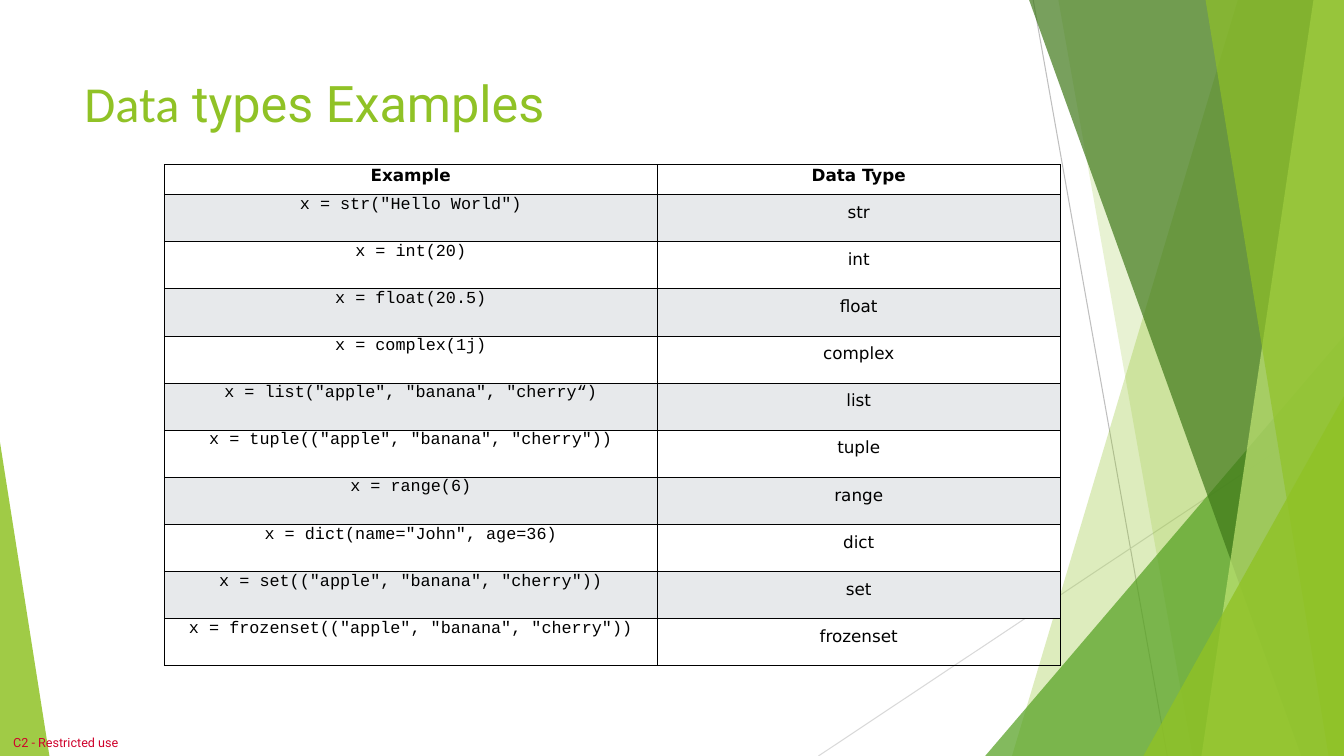
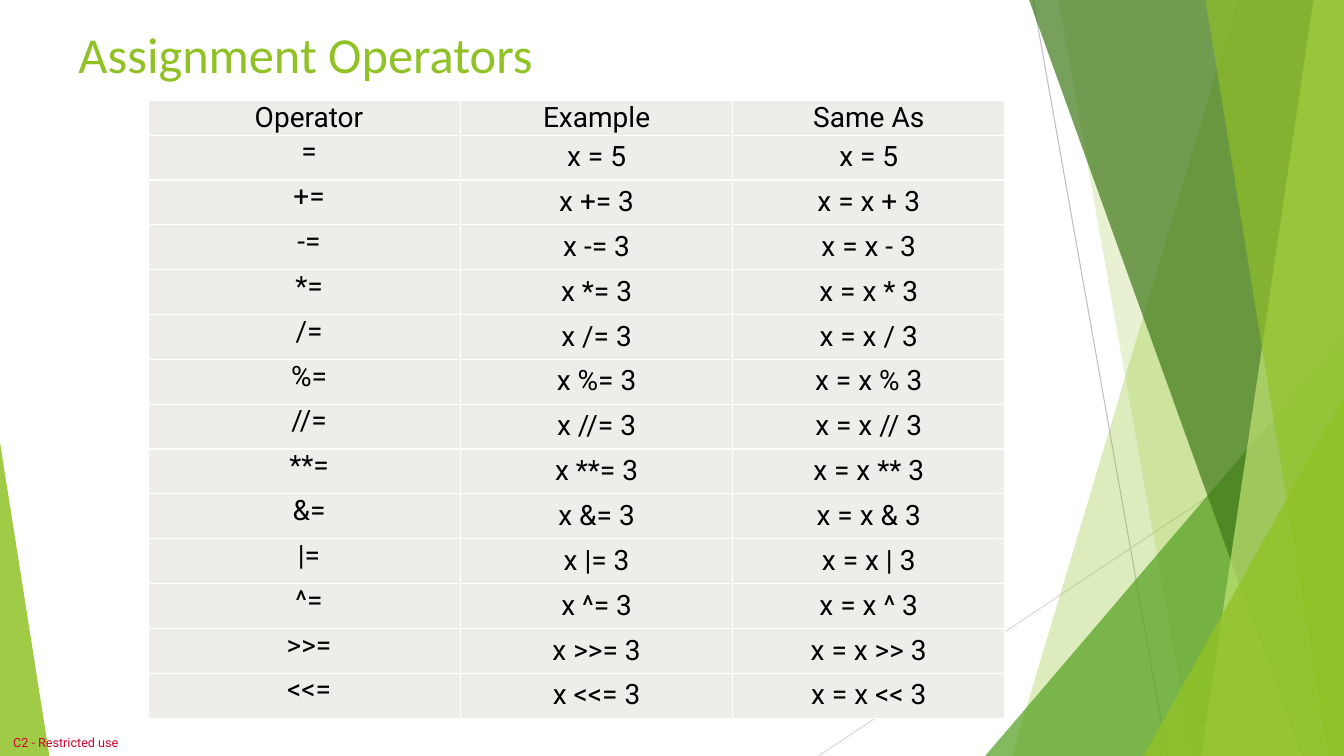
from lxml import etree
from pptx import Presentation
from pptx.dml.color import RGBColor
from pptx.enum import shapes, text
from pptx.oxml.ns import qn
from pptx.util import Pt

GREEN, BLACK, WHITE = "90C226", "000000", "FFFFFF"
WIDTH, HEIGHT = 960, 540


def color(hex_code):
    return RGBColor.from_string(hex_code)


def style(paragraph, size, font, hex_code, bold=False):
    paragraph.font.size = Pt(size)
    paragraph.font.name = font
    paragraph.font.bold = bold
    paragraph.font.color.rgb = color(hex_code)


rays = [
    ((738, 0, 833.8, HEIGHT), "BFBFBF"),
    ((WIDTH, 290.2, 584.6, HEIGHT), "D9D9D9"),
]
facets = [
    ("band", (884.2, 722.9), GREEN, 30),
    ("band", (756, 851.8), GREEN, 20),
    ("peak", (703.7, 240, 256.3, 300, 1), "54A021", 72),
    ("band", (735.1, 929.5), "3F7819", 70),
    ("band", (938.2, 858.2), "C0E474", 70),
    ("band", (861.1, 949), GREEN, 65),
    ("peak", (816.7, 283, 143.3, 257, 1), GREEN, 80),
    ("peak", (0, 316, 35.3, 224, 0), GREEN, 85),
]

fruit = '"apple", "banana", "cherry'
calls = [
    ("str", '"Hello World"'),
    ("int", "20"),
    ("float", "20.5"),
    ("complex", "1j"),
    ("list", f"{fruit}“"),
    ("tuple", f'({fruit}")'),
    ("range", "6"),
    ("dict", 'name="John", age=36'),
    ("set", f'({fruit}")'),
    ("frozenset", f'({fruit}")'),
]
operators = ["+", "-", "*", "/", "%", "//", "**", "&", "|", "^", ">>", "<<"]

pages = [
    {
        "title": [("Data", "Calibri"), (" types Examples", "Roboto")],
        "title_box": (53.3, 48.2, 676.8, 103.7),
        "rows": [("Example", "Data Type")]
        + [(f"x = {name}({value})", name) for name, value in calls],
        "corner": (117.4, 117.7),
        "widths": [352, 288],
        "heights": (21.2, 33.7),
        "fonts": ["Courier New", "DejaVu Sans"],
        "header_font": "DejaVu Sans",
        "size": 12,
        "header_bold": True,
        "padding": 5.8,
        "first_inset": 0.7,
        "fills": [None, "E7E9EB"],
        "rule": (BLACK, 1, 0.5),
    },
    {
        "title": [("Assignment Operators", "Calibri")],
        "title_box": (49, 13, 844.6, 79.9),
        "rows": [("Operator", "Example", "Same As"), ("=", "x = 5", "x = 5")]
        + [(f"{op}=", f"x {op}= 3", f"x = x {op} 3") for op in operators],
        "corner": (106, 72),
        "widths": [223, 194.4, 194.4],
        "heights": (24.1, 31.5),
        "fonts": ["Roboto"] * 3,
        "header_font": "Roboto",
        "size": 20,
        "header_bold": False,
        "padding": 4,
        "first_inset": 7.2,
        "fills": ["EEEDE9", "EEEDE9"],
        "rule": (WHITE, 1, 1),
    },
]

prs = Presentation()
prs.slide_width, prs.slide_height = Pt(WIDTH), Pt(HEIGHT)

for page in pages:
    slide = prs.slides.add_slide(prs.slide_layouts[6])

    for ends, hex_code in rays:
        ray = slide.shapes.add_connector(
            shapes.MSO_CONNECTOR.STRAIGHT, *[Pt(v) for v in ends]
        )
        ray.line.color.rgb = color(hex_code)
        ray.line.width = Pt(0.75)
        etree.SubElement(ray.element.spPr, qn("a:effectLst"))

    for kind, outline, hex_code, opacity in facets:
        if kind == "band":
            top_x, bottom_x = outline
            builder = slide.shapes.build_freeform(Pt(top_x), 0)
            corners = [(WIDTH, 0), (WIDTH, HEIGHT), (bottom_x, HEIGHT)]
            builder.add_line_segments([(Pt(x), Pt(y)) for x, y in corners])
            facet = builder.convert_to_shape()
        else:
            *box, apex = outline
            facet = slide.shapes.add_shape(
                shapes.MSO_SHAPE.ISOSCELES_TRIANGLE, *[Pt(v) for v in box]
            )
            facet.adjustments[0] = apex
        facet.shadow.inherit = False
        facet.line.fill.background()
        facet.fill.solid()
        facet.fill.fore_color.rgb = color(hex_code)
        tint = facet.element.spPr.find(qn("a:solidFill"))[0]
        etree.SubElement(tint, qn("a:alpha"), val=str(opacity * 1000))

    footer = slide.shapes.add_textbox(0, Pt(520.6), Pt(96.5), Pt(19.4)).text_frame
    footer.word_wrap = True
    footer.vertical_anchor = text.MSO_ANCHOR.MIDDLE
    footer.margin_left = Pt(9.4)
    footer.margin_top = footer.margin_right = footer.margin_bottom = 0
    footer.text = "C2 - Restricted use"
    style(footer.paragraphs[0], 9, "Roboto", "CF022B")

    title = slide.shapes.add_textbox(*[Pt(v) for v in page["title_box"]]).text_frame
    title.word_wrap = True
    style(title.paragraphs[0], 36, "Calibri", GREEN)
    for words, font in page["title"]:
        run = title.paragraphs[0].add_run()
        run.text = words
        run.font.name = font

    rows, widths = page["rows"], page["widths"]
    header_height, row_height = page["heights"]
    last_row, last_col = len(rows) - 1, len(widths) - 1
    table = slide.shapes.add_table(
        len(rows), len(widths), *[Pt(v) for v in page["corner"]],
        Pt(sum(widths)), Pt(header_height + last_row * row_height),
    ).table
    table.first_row = table.horz_banding = False
    for column, width in zip(table.columns, widths):
        column.width = Pt(width)

    rule_color, outer, inner = page["rule"]
    for r, values in enumerate(rows):
        table.rows[r].height = Pt(row_height if r else header_height)
        for c, value in enumerate(values):
            cell = table.cell(r, c)
            padded = r > 0 and c > 0
            cell.margin_left = Pt(0.7 if c else page["first_inset"])
            cell.margin_right = Pt(0.7)
            cell.margin_top = Pt(page["padding"] if padded else 0.5)
            cell.margin_bottom = Pt(page["padding"] if padded else 0)
            cell.text = value
            paragraph = cell.text_frame.paragraphs[0]
            paragraph.alignment = text.PP_ALIGN.CENTER
            font = page["fonts"][c] if r else page["header_font"]
            style(paragraph, page["size"], font, BLACK, r == 0 and page["header_bold"])

            edges = {"L": c == 0, "R": c == last_col, "T": r == 0, "B": r == last_row}
            properties = cell._tc.get_or_add_tcPr()
            for side, on_edge in edges.items():
                weight = Pt(outer if on_edge else inner)
                border = etree.SubElement(properties, qn(f"a:ln{side}"), w=str(weight))
                paint = etree.SubElement(border, qn("a:solidFill"))
                etree.SubElement(paint, qn("a:srgbClr"), val=rule_color)

            fill = page["fills"][r % 2]
            if fill:
                cell.fill.solid()
                cell.fill.fore_color.rgb = color(fill)
            else:
                cell.fill.background()

prs.save("out.pptx")
